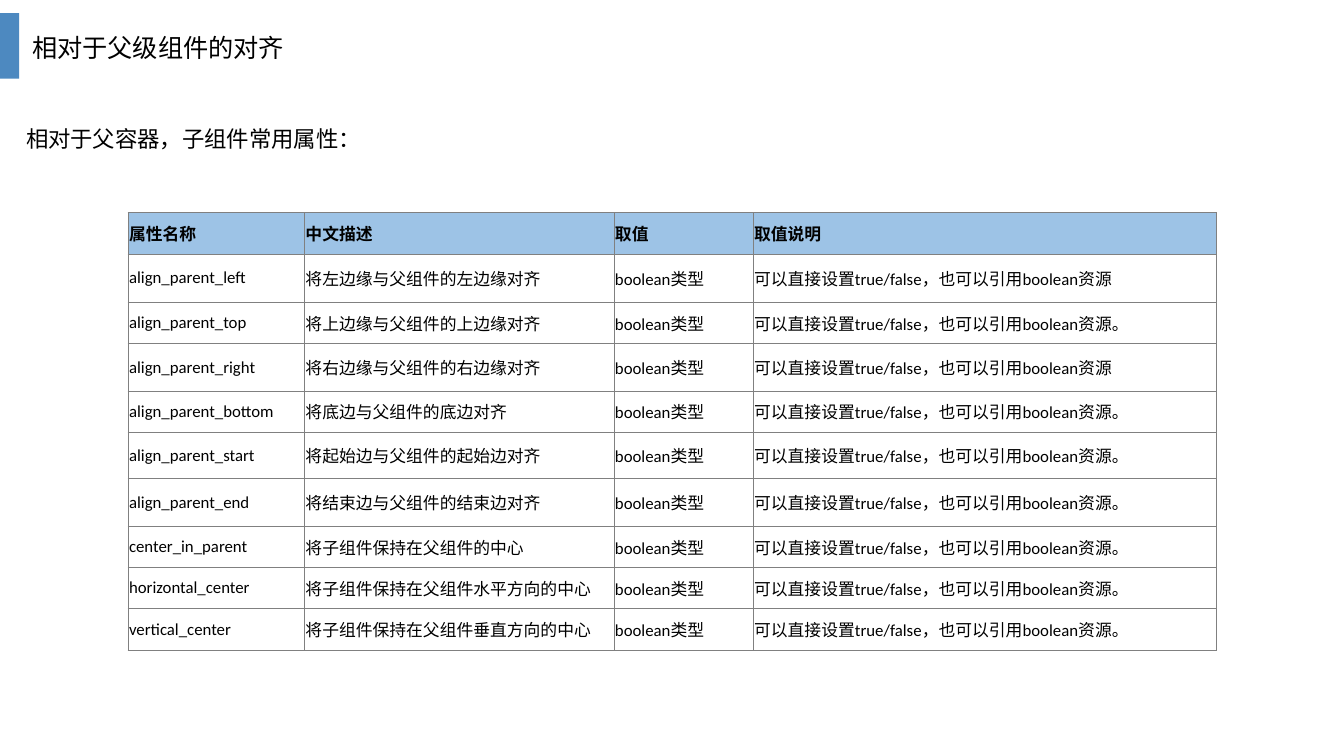
from lxml.etree import SubElement
from pptx import Presentation
from pptx.dml.color import RGBColor
from pptx.enum.shapes import MSO_SHAPE
from pptx.enum.text import MSO_ANCHOR, MSO_AUTO_SIZE
from pptx.oxml import parse_xml
from pptx.oxml.ns import nsdecls, qn
from pptx.util import Inches, Pt


def paint(color, value):
    color.rgb = RGBColor.from_string(value)


def style(para, size, name, bold=False):
    for run in para.runs:
        run.font.size = Pt(size)
        run.font.name = name
        run.font.bold = bold
        run.font.fill.solid()
        paint(run.font.fill.fore_color, "000000")
        east = SubElement(run.font._element, qn("a:ea"))
        east.set("typeface", "Noto Sans CJK SC")


deck = Presentation()
deck.slide_width = Inches(13.33)
deck.slide_height = Inches(7.5)
slide = deck.slides.add_slide(deck.slide_layouts[6])

bar = slide.shapes.add_shape(
    MSO_SHAPE.RECTANGLE, Inches(0), Inches(0.13), Inches(0.19), Inches(0.65))
bar.shadow.inherit = False
bar.line.fill.background()
bar.fill.solid()
paint(bar.fill.fore_color, "2E75B6")
tint = bar.fill._xPr.find(qn("a:solidFill"))[0]
SubElement(tint, qn("a:alpha")).set("val", "85000")

labels = [
    ("相对于父级组件的对齐", 0.22, 0.27, 7.09, 0.4, 18, 1.0),
    ("相对于父容器，子组件常用属性：", 0.16, 1.06, 12.87, 0.5, 16, 1.5),
]
for text, left, top, width, height, size, space in labels:
    box = slide.shapes.add_textbox(
        Inches(left), Inches(top), Inches(width), Inches(height))
    frame = box.text_frame
    frame.word_wrap = True
    frame.auto_size = MSO_AUTO_SIZE.SHAPE_TO_FIT_TEXT
    frame.text = text
    para = frame.paragraphs[0]
    para.line_spacing = space
    style(para, size, "Noto Sans CJK SC")

kind = "boolean类型"
brief = "可以直接设置true/false，也可以引用boolean资源"
full = brief + "。"
rows = [
    (0.41, "属性名称", "中文描述", "取值", "取值说明"),
    (0.48, "align_parent_left", "将左边缘与父组件的左边缘对齐", kind, brief),
    (0.41, "align_parent_top", "将上边缘与父组件的上边缘对齐", kind, full),
    (0.47, "align_parent_right", "将右边缘与父组件的右边缘对齐", kind, brief),
    (0.41, "align_parent_bottom", "将底边与父组件的底边对齐", kind, full),
    (0.46, "align_parent_start", "将起始边与父组件的起始边对齐", kind, full),
    (0.47, "align_parent_end", "将结束边与父组件的结束边对齐", kind, full),
    (0.41, "center_in_parent", "将子组件保持在父组件的中心", kind, full),
    (0.41, "horizontal_center", "将子组件保持在父组件水平方向的中心", kind, full),
    (0.41, "vertical_center", "将子组件保持在父组件垂直方向的中心", kind, full),
]
widths = [1.75, 3.07, 1.38, 4.6]
table = slide.shapes.add_table(
    len(rows), len(widths), Inches(1.27), Inches(2.11),
    Inches(10.8), Inches(4.33)).table
for column, width in zip(table.columns, widths):
    column.width = Inches(width)

for r, (height, *texts) in enumerate(rows):
    table.rows[r].height = Inches(height)
    for c, text in enumerate(texts):
        cell = table.cell(r, c)
        cell.text_frame.text = text
        style(cell.text_frame.paragraphs[0], 12, "Calibri", r == 0)
        cell.vertical_anchor = MSO_ANCHOR.MIDDLE
        cell.margin_left = cell.margin_right = Inches(0.01)
        cell.margin_top = cell.margin_bottom = Inches(0.01)
        props = cell._tc.get_or_add_tcPr()
        for side in ("lnL", "lnR", "lnT", "lnB"):
            props.append(parse_xml(
                f'<a:{side} {nsdecls("a")} w="{Pt(0.75)}"><a:solidFill>'
                f'<a:srgbClr val="808080"/></a:solidFill></a:{side}>'))
        cell.fill.solid()
        paint(cell.fill.fore_color, "FFFFFF" if r else "9DC3E6")

deck.save("out.pptx")
